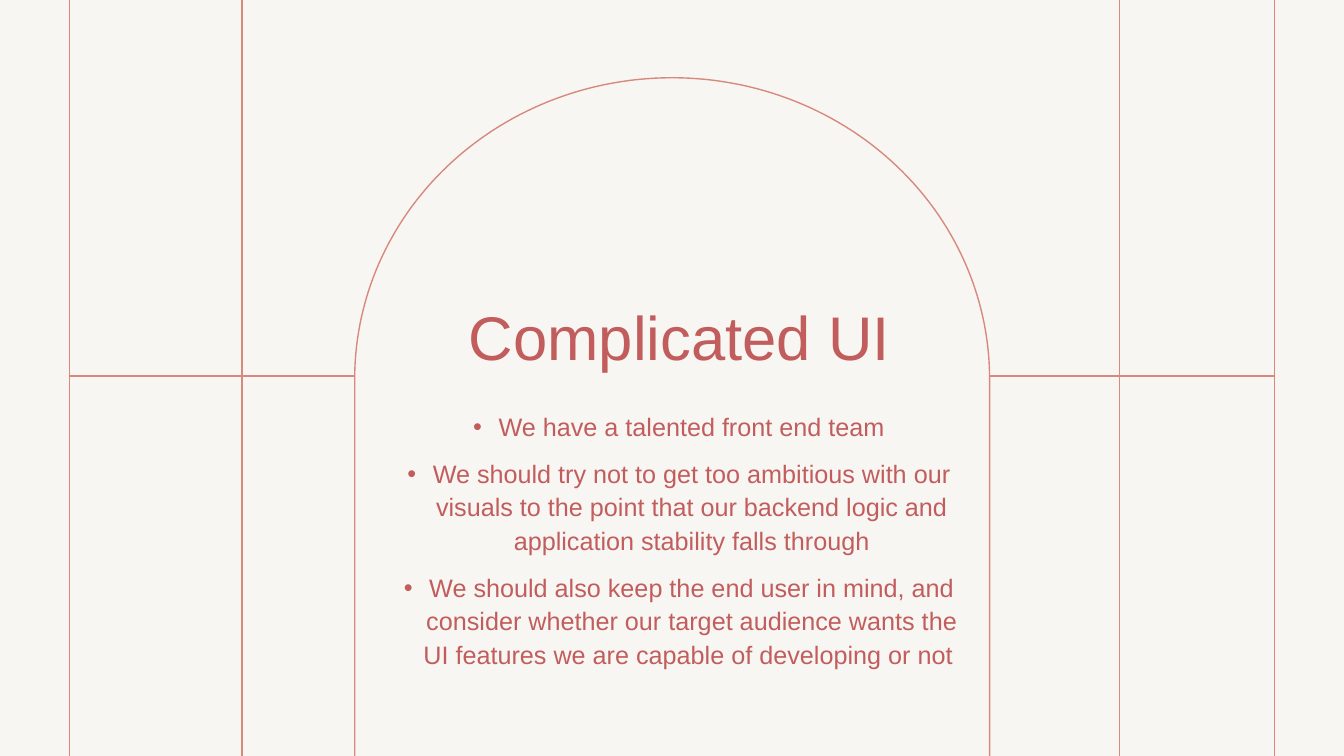
from math import cos, pi, sin

from lxml import etree
from pptx import Presentation
from pptx.dml.color import RGBColor
from pptx.enum.shapes import MSO_CONNECTOR
from pptx.enum.text import MSO_ANCHOR, MSO_AUTO_SIZE, PP_ALIGN
from pptx.oxml.ns import qn
from pptx.util import Cm, Pt

STRAIGHT = MSO_CONNECTOR.STRAIGHT
CENTER = PP_ALIGN.CENTER
TOP = MSO_ANCHOR.TOP
BOTTOM = MSO_ANCHOR.BOTTOM
NO_AUTOFIT = MSO_AUTO_SIZE.NONE

CREAM = RGBColor(0xF8, 0xF6, 0xF2)
CORAL = RGBColor(0xD8, 0x89, 0x7E)
BRICK = RGBColor(0xC2, 0x5D, 0x5D)
FONT = "Arial"

WIDTH, HEIGHT = 33.87, 19.05
MARGIN = 1.75
ARCH_BOX = (8.94, 1.96, 16, 17.09)
ARCH_RISE = 7.59
ARCH_STEPS = 120
CROSSBAR_TOP = 9.47
INNER_BARS = (6.1, 28.22)
BULLET_INDENT = Cm(0.64)

TITLE = "Complicated UI"
POINTS = (
    "We have a talented front end team",
    "We should try not to get too ambitious with our visuals to the point "
    "that our backend logic and application stability falls through",
    "We should also keep the end user in mind, and consider whether our target "
    "audience wants the UI features we are capable of developing or not ",
)


def style_line(shape):
    shape.line.color.rgb = CORAL
    shape.line.width = Pt(1)


def add_line(slide, x1, y1, x2, y2):
    line = slide.shapes.add_connector(STRAIGHT, Cm(x1), Cm(y1), Cm(x2), Cm(y2))
    style_line(line)
    etree.SubElement(line._element.spPr, qn("a:effectLst"))


def add_window_bars(slide, left, top, width, height):
    right, bottom = left + width, top + height
    for x in (left, *INNER_BARS, right):
        add_line(slide, x, top, x, bottom)
    arch_left, _, arch_width, _ = ARCH_BOX
    add_line(slide, left, CROSSBAR_TOP, arch_left, CROSSBAR_TOP)
    add_line(slide, arch_left + arch_width, CROSSBAR_TOP, right, CROSSBAR_TOP)


def add_arch(slide, left, top, width, height):
    radius = width / 2
    angles = [pi * step / ARCH_STEPS for step in range(ARCH_STEPS + 1)]
    curve = [
        (Cm(left + radius - radius * cos(angle)),
         Cm(top + ARCH_RISE - ARCH_RISE * sin(angle)))
        for angle in angles
    ]
    bottom = Cm(top + height)
    builder = slide.shapes.build_freeform(Cm(left), bottom)
    builder.add_line_segments(curve + [(Cm(left + width), bottom)], close=False)
    arch = builder.convert_to_shape()
    arch.fill.background()
    arch.shadow.inherit = False
    style_line(arch)


def place_text(placeholder, left, top, width, height, anchor):
    placeholder.left, placeholder.top = Cm(left), Cm(top)
    placeholder.width, placeholder.height = Cm(width), Cm(height)
    text_frame = placeholder.text_frame
    text_frame.word_wrap = True
    text_frame.auto_size = NO_AUTOFIT
    text_frame.vertical_anchor = anchor
    return text_frame


def add_text(paragraph, text, size):
    paragraph.alignment = CENTER
    run = paragraph.add_run()
    run.text = text
    run.font.name = FONT
    run.font.size = Pt(size)
    run.font.color.rgb = BRICK


def add_bullet(paragraph):
    properties = paragraph._p.get_or_add_pPr()
    properties.set("marL", str(BULLET_INDENT))
    properties.set("indent", str(-BULLET_INDENT))
    etree.SubElement(properties, qn("a:buFont"), typeface=FONT)
    etree.SubElement(properties, qn("a:buChar"), char="•")


def fill_title(slide, left, top, width, height):
    text_frame = place_text(slide.shapes.title, left, top, width, height, BOTTOM)
    add_text(text_frame.paragraphs[0], TITLE, 44)


def fill_points(slide, left, top, width, height):
    text_frame = place_text(slide.placeholders[1], left, top, width, height, TOP)
    for index, point in enumerate(POINTS):
        paragraph = text_frame.add_paragraph() if index else text_frame.paragraphs[0]
        paragraph.line_spacing = 1.1
        paragraph.space_before = Pt(10)
        add_bullet(paragraph)
        add_text(paragraph, point, 18)


def build_arch_slide(presentation):
    slide = presentation.slides.add_slide(presentation.slide_layouts[1])
    background = slide.background.fill
    background.solid()
    background.fore_color.rgb = CREAM
    add_window_bars(slide, MARGIN, 0, WIDTH - 2 * MARGIN, HEIGHT)
    add_arch(slide, *ARCH_BOX)
    fill_title(slide, 9.75, 5.23, 14.76, 4.29)
    fill_points(slide, 9.73, 10.16, 14.76, 7.24)


def main():
    presentation = Presentation()
    presentation.slide_width = Cm(WIDTH)
    presentation.slide_height = Cm(HEIGHT)
    build_arch_slide(presentation)
    presentation.save("out.pptx")


if __name__ == "__main__":
    main()
